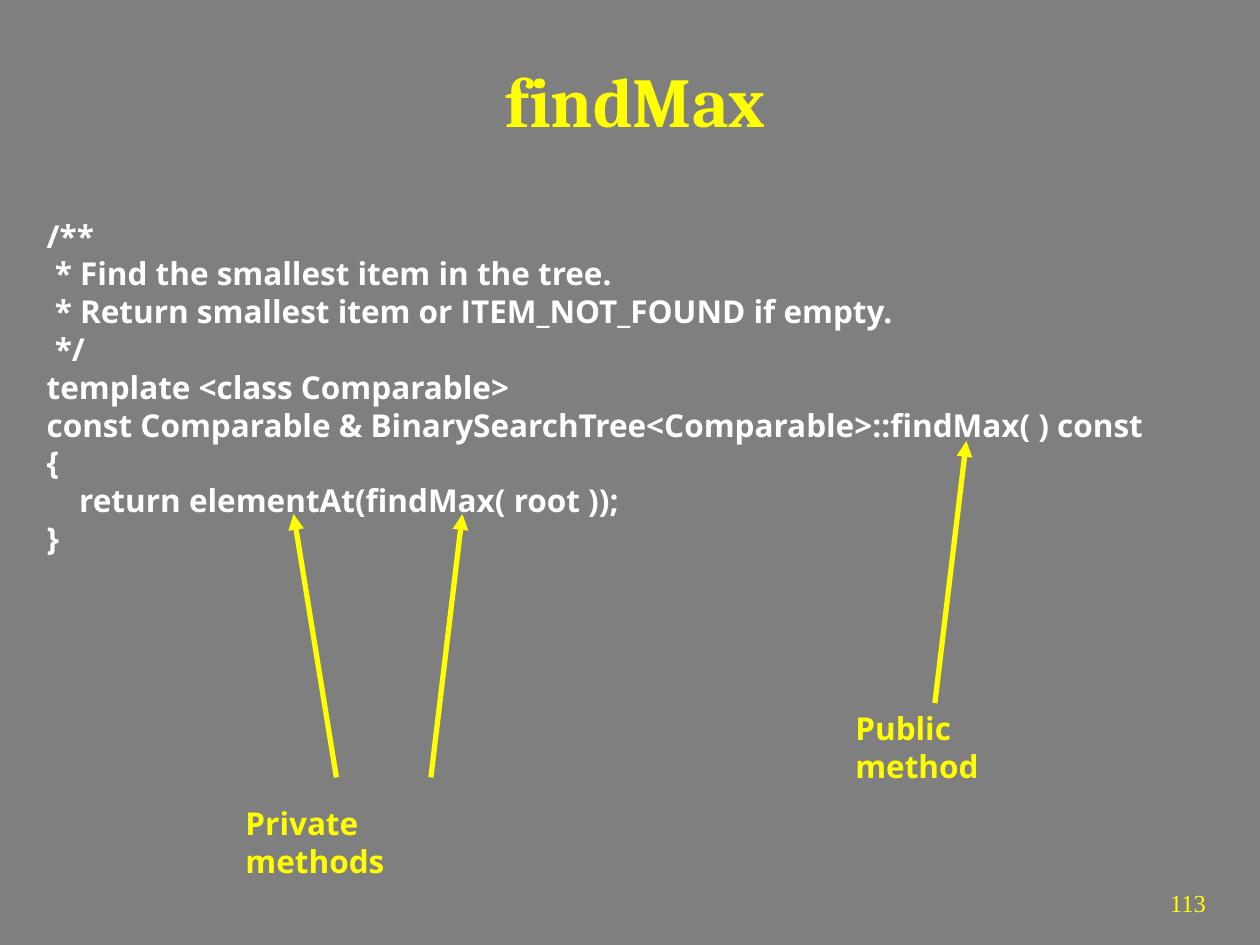
from lxml import etree
from pptx import Presentation
from pptx.dml.color import RGBColor
from pptx.enum.shapes import MSO_CONNECTOR
from pptx.enum.text import MSO_ANCHOR, PP_ALIGN
from pptx.oxml.ns import qn
from pptx.util import Inches, Pt

LEFT, CENTER, RIGHT = PP_ALIGN.LEFT, PP_ALIGN.CENTER, PP_ALIGN.RIGHT
TOP, MIDDLE = MSO_ANCHOR.TOP, MSO_ANCHOR.MIDDLE
STRAIGHT = MSO_CONNECTOR.STRAIGHT

TITLE = "findMax"
PAGE_NUMBER = "113"
CODE = [
    "/**",
    " * Find the smallest item in the tree.",
    " * Return smallest item or ITEM_NOT_FOUND if empty.",
    " */",
    "template <class Comparable>",
    "const Comparable & BinarySearchTree<Comparable>::findMax( ) const",
    "{",
    "    return elementAt(findMax( root ));",
    "}",
]
LABELS = [
    ("Public method", (6.69, 5.58, 2, 0.4)),
    ("Private methods", (1.85, 6.33, 2.26, 0.4)),
]
ARROWS = [
    ((7.42, 5.58), (7.67, 3.5)),
    ((2.67, 6.17), (2.33, 4.08)),
    ((3.42, 6.17), (3.67, 4.08)),
]
THEME = {
    "background": RGBColor(0x7F, 0x7F, 0x7F),
    "accent": RGBColor(0xFF, 0xFF, 0x00),
    "code": RGBColor(0xFF, 0xFF, 0xFF),
    "title_font": "Cambria",
    "body_font": "Open Sans",
    "number_font": "Times New Roman",
    "title_size": 40,
    "body_size": 18,
    "number_size": 14,
    "arrow_width": 3,
}


def add_text(slide, lines, box, font=THEME["body_font"], size=THEME["body_size"],
             color=THEME["accent"], bold=True, align=LEFT, anchor=TOP,
             wrap=True, left_inset=0.1):
    shape = slide.shapes.add_textbox(*map(Inches, box))
    frame = shape.text_frame
    frame.word_wrap = wrap
    frame.vertical_anchor = anchor
    frame.margin_left = Inches(left_inset)
    frame.text = "\n".join(lines)
    for paragraph in frame.paragraphs:
        paragraph.alignment = align
        for run in paragraph.runs:
            run.font.name = font
            run.font.size = Pt(size)
            run.font.bold = bold
            run.font.color.rgb = color


def add_arrow(slide, start, end):
    connector = slide.shapes.add_connector(STRAIGHT, *map(Inches, start + end))
    connector.line.color.rgb = THEME["accent"]
    connector.line.width = Pt(THEME["arrow_width"])
    line = connector.line._get_or_add_ln()
    etree.SubElement(line, qn("a:tailEnd"), type="triangle")
    etree.SubElement(connector._element.spPr, qn("a:effectLst"))


def main():
    presentation = Presentation()
    presentation.slide_width = Inches(10)
    presentation.slide_height = Inches(7.5)
    slide = presentation.slides.add_slide(presentation.slide_layouts[6])
    slide.background.fill.solid()
    slide.background.fill.fore_color.rgb = THEME["background"]

    add_text(slide, [PAGE_NUMBER], (8.67, 7, 1, 0.5), font=THEME["number_font"],
             size=THEME["number_size"], bold=False, align=RIGHT)
    add_text(slide, [TITLE], (0.42, 0.25, 9.25, 1.08), font=THEME["title_font"],
             size=THEME["title_size"], align=CENTER, anchor=MIDDLE)
    add_text(slide, CODE, (-0.25, 1.67, 10.25, 2.8), color=THEME["code"],
             left_inset=0.62)
    for label, box in LABELS:
        add_text(slide, [label], box, wrap=False)
    for start, end in ARROWS:
        add_arrow(slide, start, end)

    presentation.save("out.pptx")


if __name__ == "__main__":
    main()
